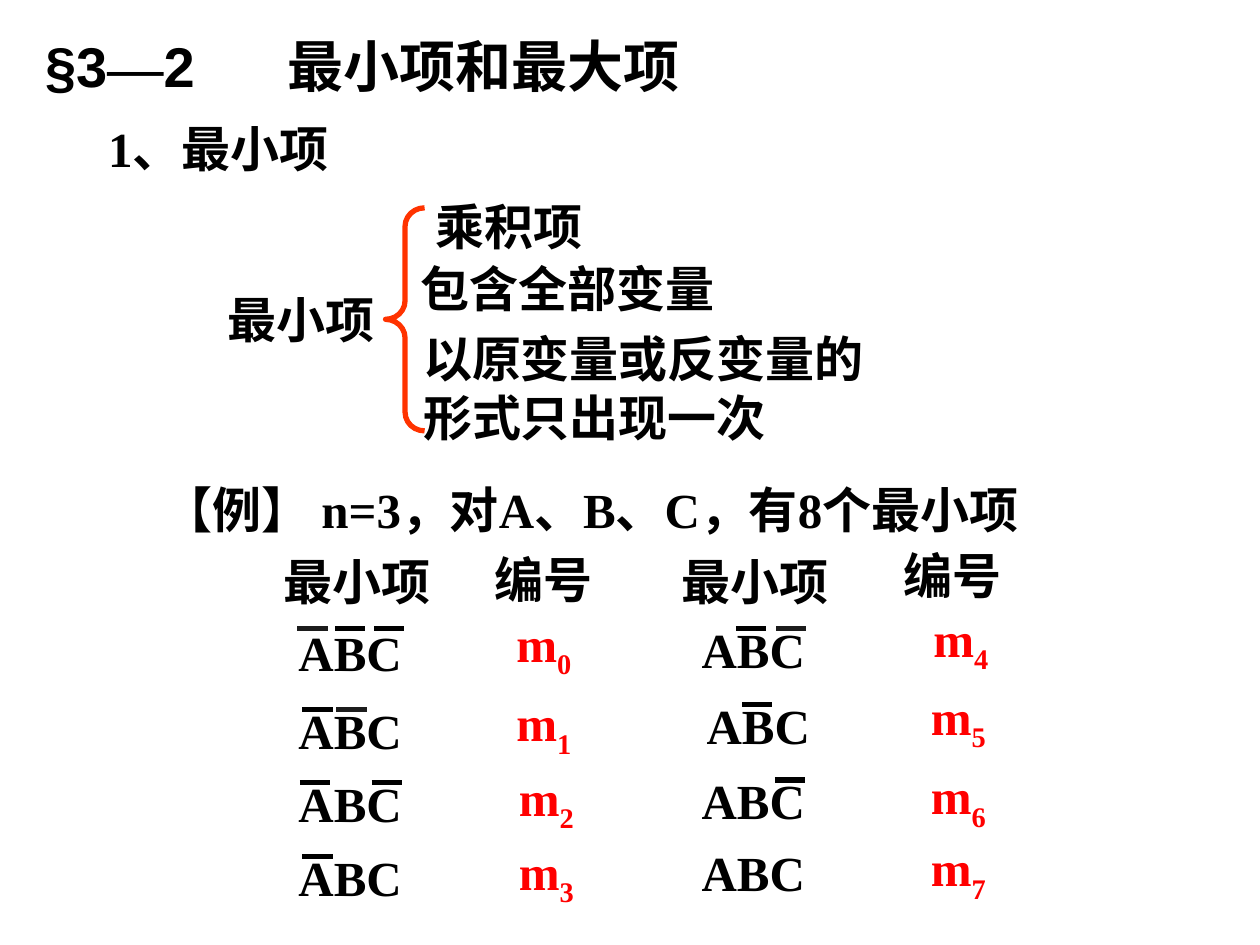
from lxml import etree
from pptx import Presentation
from pptx.dml.color import RGBColor
from pptx.enum.shapes import MSO_CONNECTOR, MSO_SHAPE
from pptx.enum.text import MSO_ANCHOR, MSO_AUTO_SIZE
from pptx.oxml.ns import qn
from pptx.util import Inches, Pt

LINE = MSO_CONNECTOR.STRAIGHT
BRACE = MSO_SHAPE.LEFT_BRACE
TOP, BOTTOM = MSO_ANCHOR.TOP, MSO_ANCHOR.BOTTOM
GROW, FIXED = MSO_AUTO_SIZE.SHAPE_TO_FIT_TEXT, MSO_AUTO_SIZE.NONE
COLORS = {"ink": "000000", "soft": "1C1C1C", "red": "FF0000",
          "brace": "FF3300", "paper": "FFFFFF"}
SERIF, SANS = "Times New Roman", "Arial"
BODY, HEAD = 28, 32
ROW = 0.57
BAR = 0.24


def rgb(name):
    return RGBColor.from_string(COLORS[name])


class Page:
    def __init__(self, slide):
        self.slide = slide
        fill = slide.background.fill
        fill.solid()
        fill.fore_color.rgb = rgb("paper")

    def box(self, x, y, w, h, anchor=TOP, size=GROW):
        """Add an empty text box and return its first paragraph."""
        frame = self.slide.shapes.add_textbox(
            Inches(x), Inches(y), Inches(w), Inches(h)).text_frame
        frame.word_wrap = True
        frame.auto_size = size
        frame.vertical_anchor = anchor
        return frame.paragraphs[0]

    def style(self, para, size=BODY, color="ink", face=SERIF):
        font = para.font
        font.size, font.bold, font.name = Pt(size), True, face
        font.color.rgb = rgb(color)

    def text(self, words, x, y, w, h=ROW):
        para = self.box(x, y, w, h)
        para.text = words
        self.style(para)

    def title(self, parts, x, y, w, h, stop):
        """Add a heading of (text, font) parts with one tab stop."""
        para = self.box(x, y, w, h, BOTTOM, FIXED)
        self.style(para, HEAD, face=SANS)
        for words, face in parts:
            run = para.add_run()
            run.text, run.font.name = words, face
        props = para._p.get_or_add_pPr()
        tabs = etree.Element(qn("a:tabLst"))
        etree.SubElement(tabs, qn("a:tab"), pos=str(Inches(stop)), algn="l")
        props.insert(0, tabs)

    def code(self, num, x, y):
        """Add a red m with its number as a subscript."""
        para = self.box(x, y, 0.84, ROW)
        self.style(para, color="red")
        para.add_run().text = "m"
        sub = para.add_run()
        sub.text = str(num)
        sub._r.get_or_add_rPr().set("baseline", "-25000")

    def bar(self, x, y, color):
        line = self.slide.shapes.add_connector(
            LINE, Inches(x), Inches(y), Inches(x + BAR), Inches(y))
        line.line.color.rgb = rgb(color)
        line.line.width = Pt(3)
        etree.SubElement(line._element.spPr, qn("a:effectLst"))

    def term(self, x, y, bars, rise):
        """Add ABC with negation bars given as (left, color)."""
        self.text("ABC", x, y, 1.29)
        for left, color in bars:
            self.bar(left, y + rise, color)

    def brace(self, x, y, w, h):
        shape = self.slide.shapes.add_shape(
            BRACE, Inches(x), Inches(y), Inches(w), Inches(h))
        shape.shadow.inherit = False
        shape.adjustments[0], shape.adjustments[1] = 0.476, 0.5
        shape.fill.background()
        shape.line.color.rgb = rgb("brace")
        shape.line.width = Pt(3)


def main():
    deck = Presentation()
    deck.slide_width, deck.slide_height = Inches(10), Inches(7.5)
    page = Page(deck.slides.add_slide(deck.slide_layouts[6]))

    # Headings
    page.title([("§3", SANS), ("—", SERIF), ("2\t最小项和最大项", SANS)],
               0.26, 0.25, 7.77, 0.58, stop=1.92)
    page.text("1、最小项", 0.76, 0.89, 3.76)

    # Definition with brace
    page.text("最小项", 1.71, 2.25, 1.55)
    page.brace(3.06, 1.65, 0.31, 1.77)
    page.text("乘积项", 3.36, 1.51, 1.6)
    page.text("包含全部变量", 3.24, 2, 2.74)
    page.text("以原变量或反变量的形式只出现一次", 3.26, 2.56, 3.71, 1.03)

    # Example and column heads
    page.text("【例】 n=3，对A、B、C，有8个最小项", 1.2, 3.76, 7.25)
    for x in (2.15, 5.31):
        page.text("最小项", x, 4.33, 1.55)
    for x, y in ((3.83, 4.31), (7.07, 4.28)):
        page.text("编号", x, y, 1.16)

    # Minterms: left, top, bars, bar drop
    terms = [
        (2.27, 4.89, [(2.36, "soft"), (2.66, "ink"), (2.97, "ink")], 0.1),
        (2.27, 5.51, [(2.4, "ink"), (2.67, "soft")], 0.12),
        (2.27, 6.09, [(2.38, "ink"), (2.95, "ink")], 0.12),
        (2.27, 6.68, [(2.4, "ink")], 0.12),
        (5.47, 4.87, [(5.84, "ink"), (6.16, "soft")], 0.12),
        (5.51, 5.47, [(5.89, "ink")], 0.12),
        (5.47, 6.07, [(6.15, "ink")], 0.12),
        (5.47, 6.64, [], 0.12),
    ]
    for item in terms:
        page.term(*item)

    # Codes m0 to m7
    spots = [(4, 4.82), (4, 5.45), (4.02, 6.04), (4.02, 6.63),
             (7.31, 4.78), (7.29, 5.4), (7.29, 6.03), (7.29, 6.6)]
    for num, (x, y) in enumerate(spots):
        page.code(num, x, y)

    deck.save("out.pptx")


if __name__ == "__main__":
    main()
